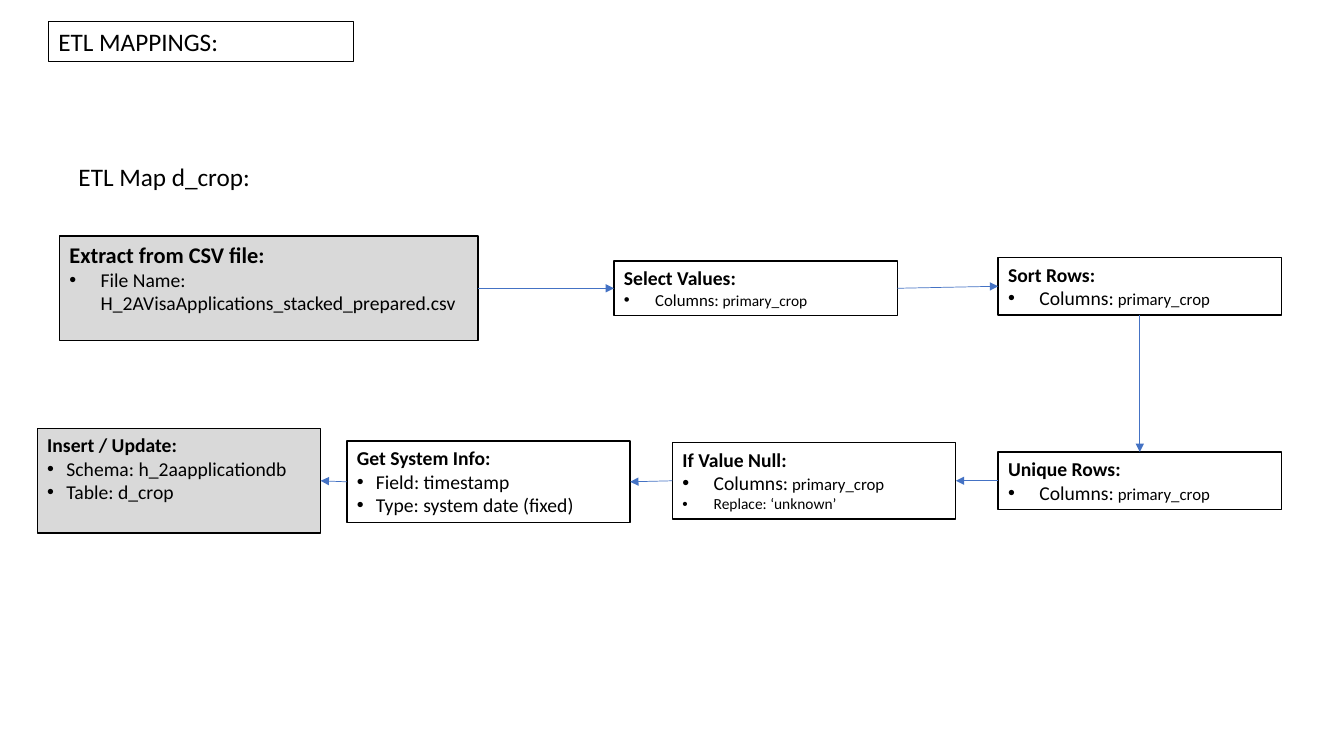
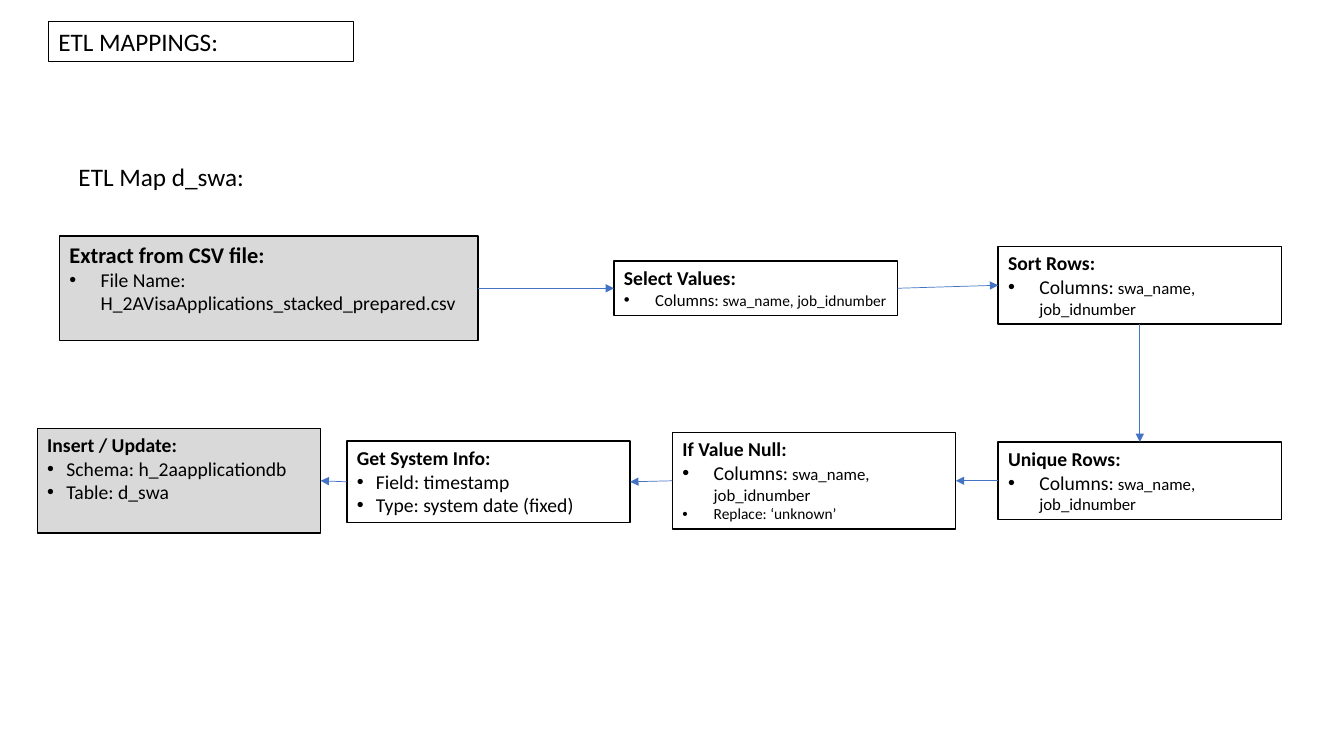
from dataclasses import dataclass

from lxml.etree import SubElement
from pptx import Presentation
from pptx.dml.color import RGBColor
from pptx.enum.shapes import MSO_CONNECTOR as Connector
from pptx.enum.text import MSO_ANCHOR as Anchor
from pptx.oxml.ns import qn
from pptx.util import Emu, Pt

PX = 9144  # 100 px to the inch


@dataclass(frozen=True)
class Theme:
    font: str = "Calibri"
    ink: str = "000000"
    white: str = "FFFFFF"
    grey: str = "D9D9D9"
    arrow: str = "4472C4"
    heading: int = 18
    source: int = 16
    body: int = 14
    small: int = 12
    tiny: int = 11
    frame_line: float = 0.75
    step_line: float = 1
    arrow_line: float = 0.5


THEME = Theme()
SLIDE_SIZE = (1333, 750)
BANNER = ("ETL MAPPINGS:", (48, 21, 303, 40))
MAP_TITLE = (68, 155, 311, 40)

TOP_ROW, BOTTOM_ROW = 286, 477  # middles of the two rows
STEP_WIDTH = 281
WRAP_HEIGHT = 20  # added where the column names take a second line
WIDE_INDENT, NARROW_INDENT = 31, 19
BOTTOM, LEFT, RIGHT, TOP = 2, 1, 3, 0

MAPS = [
    {"table": "d_crop", "columns": "primary_crop", "wraps": False, "sort_middle": 284},
    {"table": "d_swa", "columns": "swa_name, job_idnumber", "wraps": True, "sort_middle": 283},
]

# Sides joined between each step and the next
JOINTS = [(RIGHT, LEFT), (RIGHT, LEFT), (BOTTOM, TOP)] + [(LEFT, RIGHT)] * 3


def steps_of(etl_map):
    """Each step: title, title size, left, middle, width, height, fill, indent, bullets."""
    names = " " + etl_map["columns"]
    extra = WRAP_HEIGHT if etl_map["wraps"] else 0
    columns = [("Columns:", THEME.body), (names, THEME.small)]
    body, white, grey = THEME.body, THEME.white, THEME.grey
    return [
        ("Extract from CSV file:", THEME.source, 59, TOP_ROW, 415, 104, grey, WIDE_INDENT,
         [[("File Name: H_2AVisaApplications_stacked_prepared.csv", body)]]),
        ("Select Values:", body, 609, TOP_ROW, STEP_WIDTH, 54, white, WIDE_INDENT,
         [[("Columns:", THEME.small), (names, THEME.tiny)]]),
        ("Sort Rows:", body, 990, etl_map["sort_middle"], STEP_WIDTH, 57 + extra, white,
         WIDE_INDENT, [columns]),
        ("Unique Rows:", body, 990, BOTTOM_ROW, STEP_WIDTH, 57 + extra, white,
         WIDE_INDENT, [columns]),
        ("If Value Null:", body, 667, BOTTOM_ROW, STEP_WIDTH, 76 + extra, white, WIDE_INDENT,
         [columns, [("Replace: ‘unknown’", THEME.tiny)]]),
        ("Get System Info:", body, 344, BOTTOM_ROW + 1, STEP_WIDTH, 81, white, NARROW_INDENT,
         [[("Field: timestamp", body)], [("Type: system date (fixed)", body)]]),
        ("Insert / Update:", body, 37, BOTTOM_ROW, STEP_WIDTH, 104, grey, NARROW_INDENT,
         [[("Schema: h_2aapplicationdb", body)], [(f"Table: {etl_map['table']}", body)]]),
    ]


def px(value):
    return Emu(round(value * PX))


def style_span(span, size, bold=False):
    span.font.name = THEME.font
    span.font.size = Pt(size)
    span.font.bold = bold
    span.font.color.rgb = RGBColor.from_string(THEME.ink)


def add_box(page, text, area, size, bold=False, fill=None, line=None):
    """Add a text box, framed and filled when asked, with its first paragraph."""
    box = page.shapes.add_textbox(*map(px, area))
    box.text_frame.word_wrap = True
    box.text_frame.vertical_anchor = Anchor.TOP
    box.text_frame.text = text
    style_span(box.text_frame.paragraphs[0].runs[0], size, bold)
    if fill:
        box.fill.solid()
        box.fill.fore_color.rgb = RGBColor.from_string(fill)
    if line:
        box.line.color.rgb = RGBColor.from_string(THEME.ink)
        box.line.width = Pt(line)
    return box


def add_bullet(box, spans, indent):
    para = box.text_frame.add_paragraph()
    for text, size in spans:
        span = para.add_run()
        span.text = text
        style_span(span, size)
    properties = para._p.get_or_add_pPr()
    properties.set("marL", str(px(indent)))
    properties.set("indent", str(px(-indent)))
    SubElement(properties, qn("a:buFont"), typeface="Arial")
    SubElement(properties, qn("a:buChar"), char="•")


def add_step(page, title, size, left, middle, width, height, fill, indent, bullets):
    area = (left, middle - height / 2, width, height)
    box = add_box(page, title, area, size, True, fill, THEME.step_line)
    for spans in bullets:
        add_bullet(box, spans, indent)
    return box


def add_arrow(page, start, end, sides):
    arrow = page.shapes.add_connector(Connector.STRAIGHT, 0, 0, 0, 0)
    arrow.begin_connect(start, sides[0])
    arrow.end_connect(end, sides[1])
    arrow.line.color.rgb = RGBColor.from_string(THEME.arrow)
    arrow.line.width = Pt(THEME.arrow_line)
    SubElement(arrow.line._get_or_add_ln(), qn("a:tailEnd"), type="triangle")
    SubElement(arrow._element.spPr, qn("a:effectLst"))


def add_map_page(deck, etl_map):
    page = deck.slides.add_slide(deck.slide_layouts[6])
    add_box(page, *BANNER, THEME.heading, line=THEME.frame_line)
    add_box(page, f"ETL Map {etl_map['table']}:", MAP_TITLE, THEME.heading)
    boxes = [add_step(page, *step) for step in steps_of(etl_map)]
    for start, end, sides in zip(boxes, boxes[1:], JOINTS):
        add_arrow(page, start, end, sides)


def main():
    deck = Presentation()
    deck.slide_width, deck.slide_height = map(px, SLIDE_SIZE)
    for etl_map in MAPS:
        add_map_page(deck, etl_map)
    deck.save("out.pptx")


if __name__ == "__main__":
    main()
